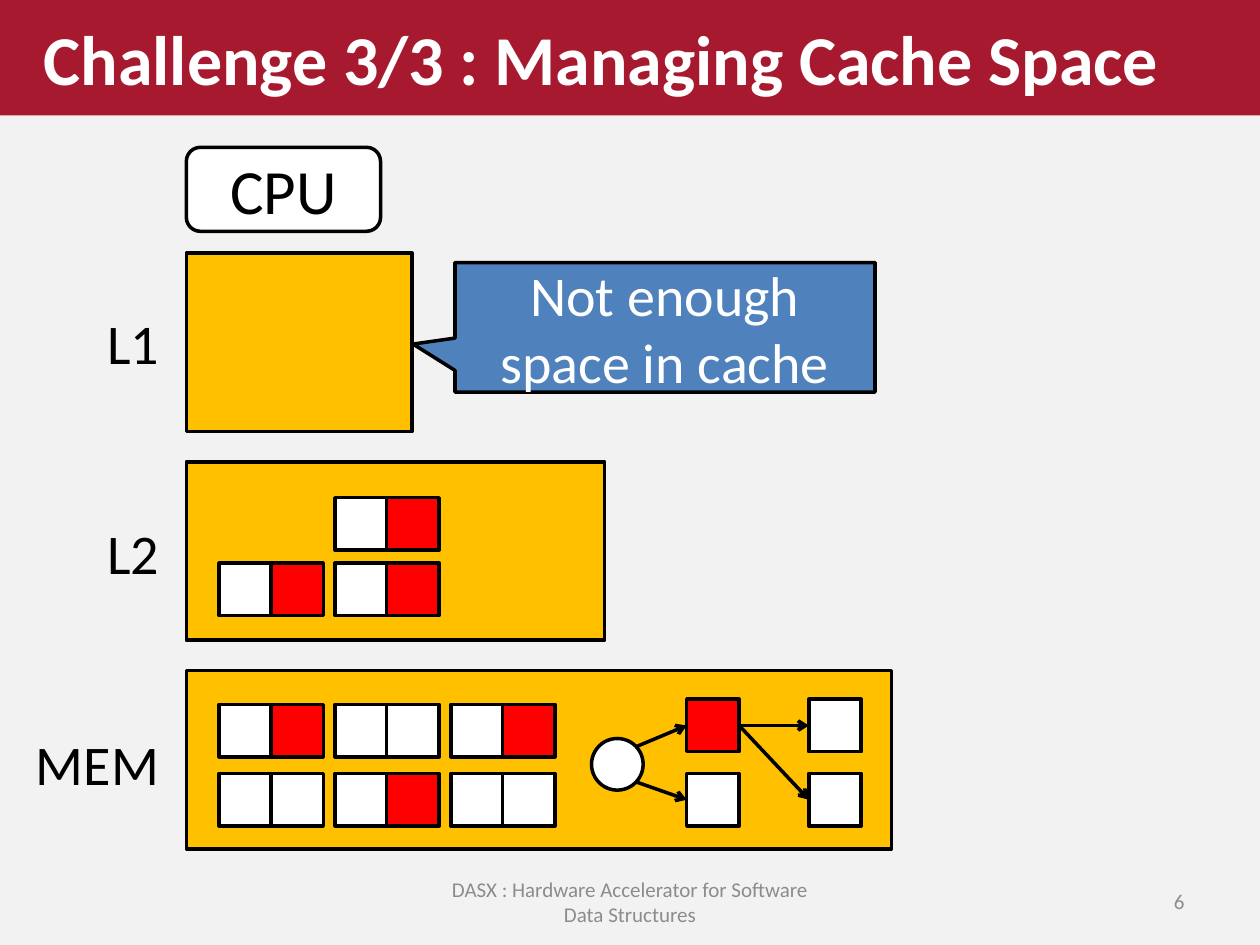
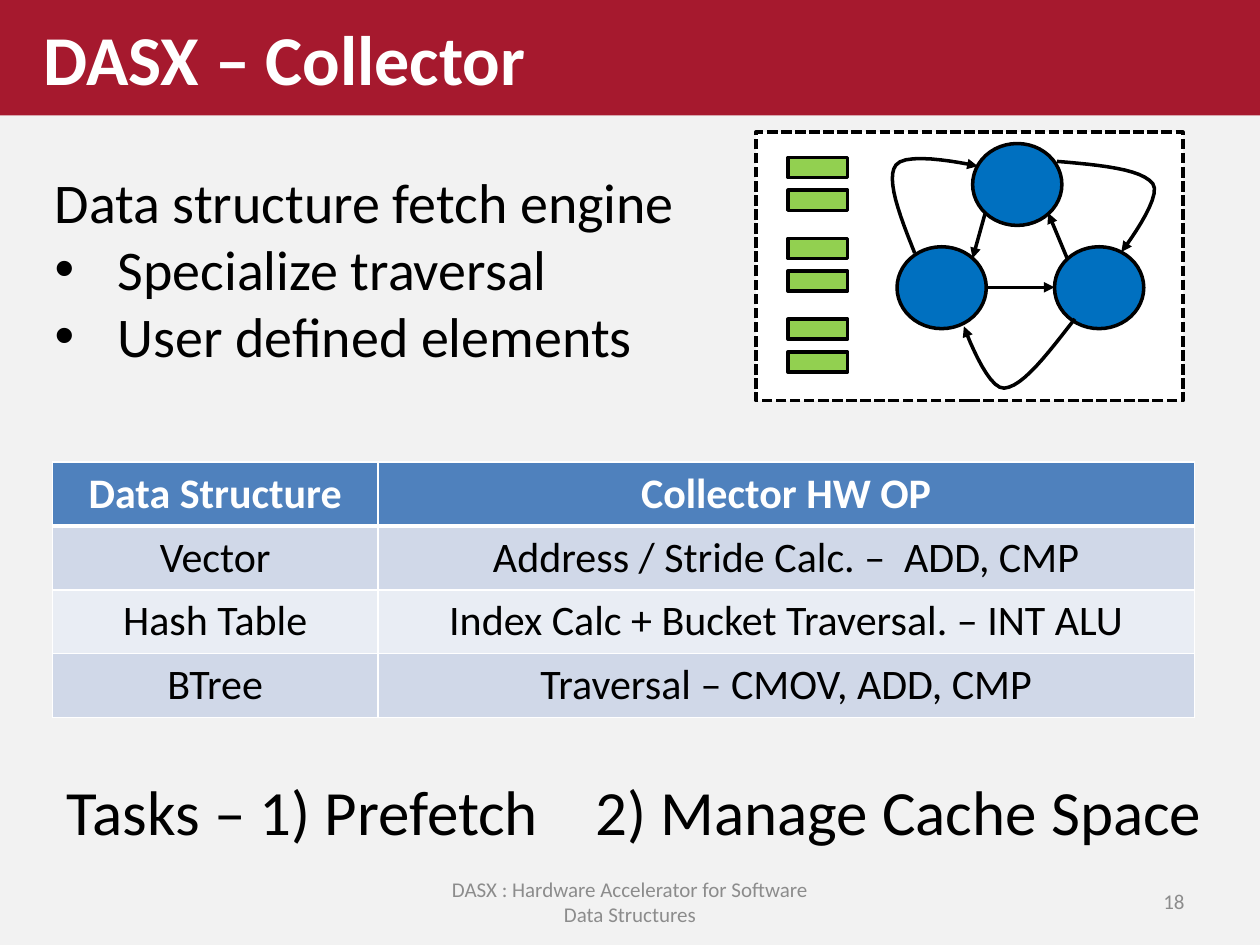
from itertools import product

from lxml.etree import SubElement
from pptx import Presentation
from pptx.dml.color import RGBColor
from pptx.enum.dml import MSO_LINE
from pptx.enum.shapes import MSO_CONNECTOR as Link, MSO_SHAPE as Kind
from pptx.enum.text import MSO_ANCHOR as Anchor, MSO_AUTO_SIZE as Fit, PP_ALIGN as Align
from pptx.oxml.ns import qn
from pptx.util import Pt

HUES = {
    "page": "F2F2F2", "band": "A6192E", "white": "FFFFFF", "black": "000000",
    "gray": "8C8C8C", "gold": "FFC000", "red": "FF0000", "blue": "4F81BD",
    "state": "0070C0", "green": "92D050", "odd": "D0D8E8", "even": "E9EDF4",
}
FONT = "Calibri"
TOPIC = "DASX : Hardware Accelerator for Software Data Structures"


def hue(name):
    """Look up a colour by its name."""
    return RGBColor.from_string(HUES[name])


def write(frame, text, size=32, color="black", bold=False, align=Align.LEFT,
          anchor=Anchor.TOP, wrap=True):
    """Fill a text frame, one paragraph per line of text."""
    frame.text = text
    frame.auto_size = Fit.NONE
    frame.word_wrap = wrap
    frame.vertical_anchor = anchor
    for para in frame.paragraphs:
        para.alignment = align
        para.space_before = Pt(0)
        for run in para.runs:
            font = run.font
            font.name, font.size, font.bold = FONT, Pt(size), bold
            font.color.rgb = hue(color)


def curve(start, *parts, steps=12):
    """Yield the points of joined cubic curves."""
    for part in parts:
        ends = (start, *part)
        for step in range(1, steps + 1):
            t = step / steps
            rates = ((1 - t) ** 3, 3 * t * (1 - t) ** 2, 3 * t * t * (1 - t), t ** 3)
            yield tuple(Pt(sum(r * p[axis] for r, p in zip(rates, ends))) for axis in (0, 1))
        start = part[-1]


class Deck:
    """Hold the shared style and the current slide."""

    def __init__(self):
        """Start an empty deck with the page colour."""
        self.prs = Presentation()
        self.prs.slide_width, self.prs.slide_height = Pt(720), Pt(540)
        fill = self.prs.slide_master.background.fill
        fill.solid()
        fill.fore_color.rgb = hue("page")

    def page(self, title, number, layout):
        """Add a slide with its title band and footer."""
        self.slide = self.prs.slides.add_slide(self.prs.slide_layouts[layout])
        self.shapes = self.slide.shapes
        head = self.shapes.title
        self.place(head, 0, 0, 720, 66)
        head.fill.solid()
        head.fill.fore_color.rgb = hue("band")
        head.text_frame.margin_left = Pt(25)
        write(head.text_frame, title, size=40, color="white", bold=True, anchor=Anchor.MIDDLE)
        small = {"size": 12, "color": "gray", "anchor": Anchor.MIDDLE}
        self.text(TOPIC, 246, 500.5, 228, 29, align=Align.CENTER, **small)
        self.text(str(number), 516, 500.5, 168, 29, align=Align.RIGHT, **small)

    def place(self, shape, x, y, w, h):
        """Move and size a shape."""
        shape.left, shape.top, shape.width, shape.height = Pt(x), Pt(y), Pt(w), Pt(h)

    def text(self, text, x, y, w, h, **form):
        """Add a text box."""
        box = self.shapes.add_textbox(Pt(x), Pt(y), Pt(w), Pt(h))
        write(box.text_frame, text, **form)
        return box

    def points(self, text, x, y, w, h):
        """Fill the body with a lead line and bullets."""
        body = self.slide.placeholders[1]
        self.place(body, x, y, w, h)
        write(body.text_frame, text, wrap=False)
        for row, para in enumerate(body.text_frame.paragraphs):
            props = para._p.get_or_add_pPr()
            props.set("marL", str(Pt(36 if row else 0)))
            props.set("indent", str(Pt(-36 if row else 0)))
            if row:
                SubElement(props, qn("a:buChar"), char="•")
            else:
                SubElement(props, qn("a:buNone"))

    def pen(self, shape, head=None):
        """Draw a black outline, with an arrowhead if named."""
        shape.line.width = Pt(2)
        shape.line.color.rgb = hue("black")
        if head:
            SubElement(shape.line._ln, qn("a:tailEnd"), type=head)

    def shape(self, kind, x, y, w, h, fill, text="", **form):
        """Add a filled and outlined preset shape."""
        item = self.shapes.add_shape(kind, Pt(x), Pt(y), Pt(w), Pt(h))
        item.shadow.inherit = False
        item.fill.solid()
        item.fill.fore_color.rgb = hue(fill)
        self.pen(item)
        if text:
            write(item.text_frame, text, align=Align.CENTER, anchor=Anchor.MIDDLE, **form)
        return item

    def cell(self, x, y, fill="white"):
        """Add one square memory cell."""
        return self.shape(Kind.RECTANGLE, x, y, 30, 30, fill)

    def pair(self, col, y, fill):
        """Add a white cell and its neighbour in a grid column."""
        x = 125.3 + 66.2 * col
        self.cell(x, y)
        self.cell(x + 29.5, y, fill)

    def arrow(self, start, end, head="triangle", source=None, target=None):
        """Add a straight arrow, joined to side middles if given."""
        line = self.shapes.add_connector(Link.STRAIGHT, *map(Pt, (*start, *end)))
        if source:
            line.begin_connect(source, 3)
        if target:
            line.end_connect(target, 1)
        self.pen(line, head)
        SubElement(line._element.spPr, qn("a:effectLst"))

    def bend(self, start, *parts):
        """Add a curved arrow."""
        path = self.shapes.build_freeform(*map(Pt, start))
        path.add_line_segments(list(curve(start, *parts)), close=False)
        item = path.convert_to_shape()
        item.shadow.inherit = False
        item.fill.background()
        self.pen(item, "triangle")

    def table(self, rows, x, y, widths, tall):
        """Add a table with a header and banded rows."""
        grid = self.shapes.add_table(len(rows), len(widths), Pt(x), Pt(y),
                                     Pt(sum(widths)), Pt(tall * len(rows))).table
        for col, width in zip(grid.columns, widths):
            col.width = Pt(width)
        for r, row in enumerate(rows):
            for c, text in enumerate(row):
                cell = grid.cell(r, c)
                write_cell = {"size": 24, "align": Align.CENTER}
                if r == 0:
                    write_cell |= {"color": "white", "bold": True}
                self.fill_cell(cell, r, text, write_cell)

    def fill_cell(self, cell, row, text, form):
        """Write, border and fill one table cell."""
        cell.text = text
        para = cell.text_frame.paragraphs[0]
        para.alignment = form["align"]
        font = para.runs[0].font
        font.name, font.size, font.bold = FONT, Pt(form["size"]), form.get("bold", False)
        font.color.rgb = hue(form.get("color", "black"))
        props = cell._tc.get_or_add_tcPr()
        for side in "LRTB":
            thick = 3 if (row, side) in ((0, "B"), (1, "T")) else 1
            edge = SubElement(props, qn(f"a:ln{side}"), w=str(Pt(thick)))
            solid = SubElement(edge, qn("a:solidFill"))
            SubElement(solid, qn("a:srgbClr"), val=HUES["white"])
        cell.fill.solid()
        cell.fill.fore_color.rgb = hue("blue" if row == 0 else "odd" if row % 2 else "even")


def cache(deck):
    """Build the slide on cache space."""
    deck.page("Challenge 3/3 : Managing Cache Space", 6, 5)
    for row, (name, width) in enumerate((("L1", 129), ("L2", 239), ("MEM", 403))):
        deck.shape(Kind.RECTANGLE, 106.5, 144.7 + 119.2 * row, width, 102, "gold")
        deck.text(name, 8, 172.8 + 120.2 * row, 90, 46, align=Align.RIGHT, wrap=False)
    deck.shape(Kind.ROUNDED_RECTANGLE, 106.5, 84.2, 111, 48, "white", "CPU", size=36)

    for col, y in ((1, 284.4), (0, 321.8), (1, 321.8)):
        deck.pair(col, y, "red")
    for (row, y), col in product(enumerate((402.5, 442)), range(3)):
        deck.pair(col, y, "white" if (row + col) % 2 else "red")

    root = (364, 426.5), (364, 447)
    deck.shape(Kind.OVAL, 338, 422, 29.5, 29.5, "white")
    hit = deck.cell(392.4, 399.6, "red")
    miss = deck.cell(392.4, 442)
    leaves = [deck.cell(462.2, y) for y in (399.6, 442)]
    for start, node in zip(root, (hit, miss)):
        deck.arrow(start, start, "arrow", target=node)
    for leaf in leaves:
        deck.arrow((0, 0), (0, 0), "arrow", source=hit, target=leaf)

    note = deck.shape(Kind.RECTANGULAR_CALLOUT, 260, 150, 240, 74, "blue",
                      "Not enough space in cache", color="white")
    note.adjustments[0], note.adjustments[1] = -0.6, 0.13


def engine(deck):
    """Build the slide on the collector."""
    deck.page("DASX – Collector", 18, 1)
    deck.points("Data structure fetch engine\nSpecialize traversal\nUser defined elements",
                24, 92, 372, 124)

    frame = deck.shape(Kind.RECTANGLE, 432, 75.5, 244, 153.5, "white")
    frame.line.dash_style = MSO_LINE.SQUARE_DOT
    for x, y in ((555.8, 82), (512.6, 141), (602.6, 141)):
        deck.shape(Kind.OVAL, x, y, 51, 46.8, "state")
    for group, bar in product(range(3), range(2)):
        deck.shape(Kind.RECTANGLE, 450.3, 90 + 46.2 * group + 18.7 * bar, 34, 11.5, "green")

    deck.bend((522.7, 144.7), ((514, 123), (506, 102), (512, 94.3)),
              ((518.4, 85.7), (558.7, 95), (558.7, 95)))
    deck.bend((604, 92.2), ((628.6, 94.3), (652.3, 96.5), (658.8, 105)),
              ((664.6, 113), (640.8, 144), (640.8, 144)))
    deck.bend((614.2, 182.2), ((599, 201.6), (584.6, 221), (573.8, 221.8)),
              ((563.8, 222.5), (550.8, 186.5), (550.8, 186.5)))
    for start, end in (((563, 121.7), (555.8, 147.6)), ((563.8, 164.2), (602.6, 164.2)),
                       ((609.8, 147.6), (599, 121.7))):
        deck.arrow(start, end)

    deck.table((("Data Structure", "Collector HW OP"),
                ("Vector", "Address / Stride Calc. –  ADD, CMP"),
                ("Hash Table", "Index Calc + Bucket Traversal. – INT ALU"),
                ("BTree", "Traversal – CMOV, ADD, CMP")),
               30, 264, (186, 466.5), 36)

    tasks = deck.text("Tasks – 1) Prefetch\t2) Manage Cache Space", 31, 438, 678, 51,
                      size=36, wrap=False)
    props = tasks.text_frame.paragraphs[0]._p.get_or_add_pPr()
    stops = SubElement(props, qn("a:tabLst"))
    SubElement(stops, qn("a:tab"), pos=str(Pt(302)), algn="l")


def main():
    """Build and save both slides."""
    deck = Deck()
    cache(deck)
    engine(deck)
    deck.prs.save("out.pptx")


if __name__ == "__main__":
    main()
